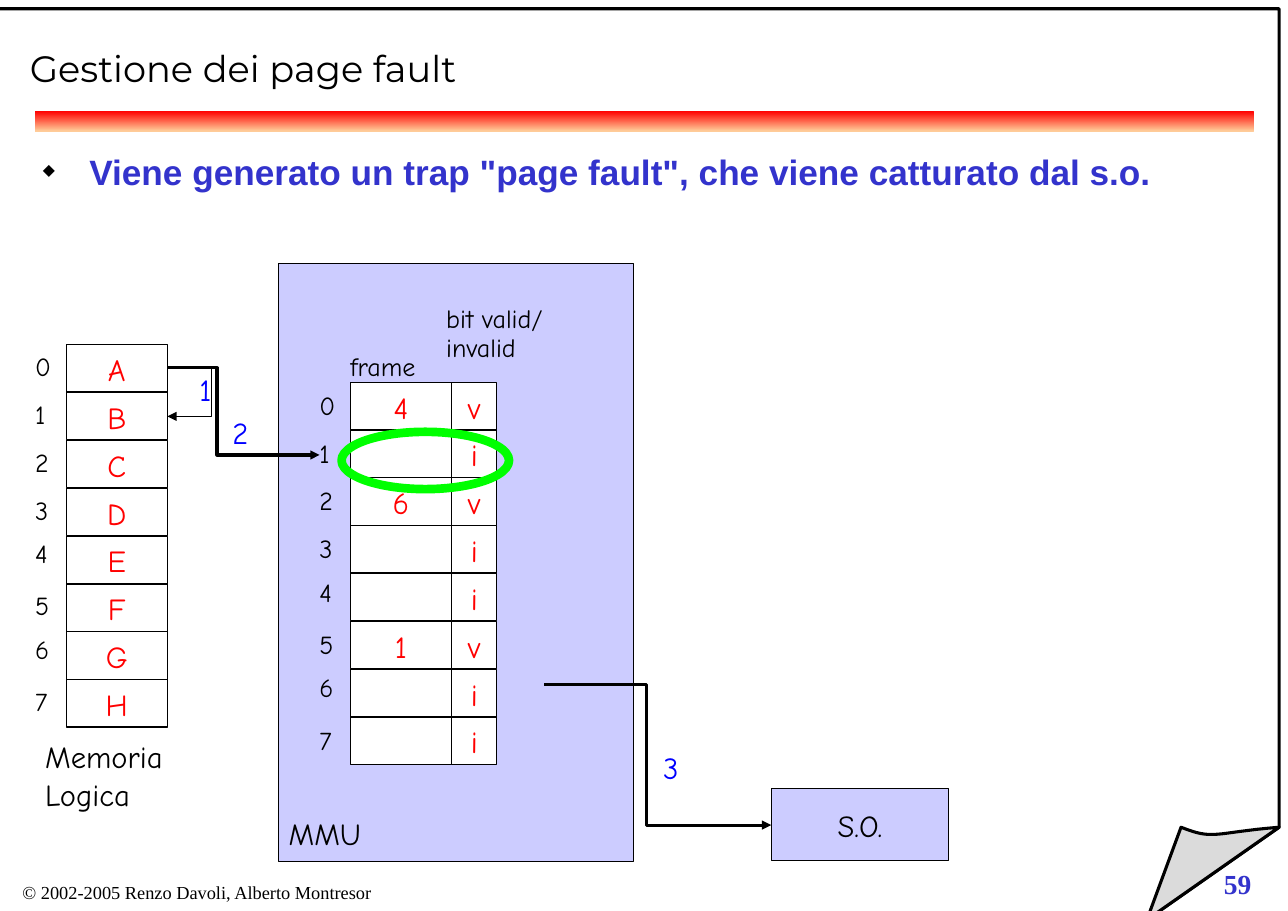
from lxml.etree import SubElement
from pptx import Presentation
from pptx.dml.color import RGBColor
from pptx.enum.shapes import MSO_CONNECTOR as Link, MSO_SHAPE as Preset
from pptx.enum.text import MSO_ANCHOR as Anchor, MSO_AUTO_SIZE as AutoSize, PP_ALIGN as Align
from pptx.oxml.ns import qn
from pptx.util import Inches, Pt

BLACK = RGBColor(0x00, 0x00, 0x00)
WHITE = RGBColor(0xFF, 0xFF, 0xFF)
GREY = RGBColor(0xDB, 0xDB, 0xDB)
RED = RGBColor(0xFF, 0x00, 0x00)
PEACH = RGBColor(0xFF, 0xCC, 0x99)
LILAC = RGBColor(0xCC, 0xCC, 0xFF)
INDIGO = RGBColor(0x33, 0x33, 0xCC)
BLUE = RGBColor(0x00, 0x00, 0xFF)
GREEN = RGBColor(0x00, 0xFF, 0x00)

HAND, SERIF, SANS, TITLE = "Comic Neue", "Times New Roman", "Arial", "Montserrat"
ROW_PITCH = 3.04 / 7
ROW_HEIGHT = 0.43
LIFTED_ROWS = (4, 6)


class SlideBuilder:
    def __init__(self, page):
        self.page = page
        self.shapes = page.shapes

    def set_text(self, frame, text, size, color, font=HAND, bold=False,
                 align=Align.LEFT, spacing=1.05, before=0, inset=(0, 0)):
        frame.margin_left = frame.margin_right = Inches(inset[0])
        frame.margin_top = frame.margin_bottom = Inches(inset[1])
        for number, line in enumerate(text.split("\n")):
            para = frame.add_paragraph() if number else frame.paragraphs[0]
            para.text = line
            para.alignment = align
            para.line_spacing = spacing
            para.space_before = Pt(before)
            para.font.size = Pt(size)
            para.font.name = font
            para.font.bold = bold
            para.font.color.rgb = color

    def label(self, text, left, top, width, height, size=20, color=BLACK,
              wrap=False, anchor=Anchor.TOP, **style):
        box = self.shapes.add_textbox(Inches(left), Inches(top), Inches(width), Inches(height))
        box.text_frame.word_wrap = wrap
        box.text_frame.auto_size = AutoSize.SHAPE_TO_FIT_TEXT
        box.text_frame.vertical_anchor = anchor
        self.set_text(box.text_frame, text, size, color, **style)
        return box.text_frame.paragraphs[0]

    def bullet(self, para, char, percent, indent):
        props = para._p.get_or_add_pPr()
        props.set("marL", str(Inches(indent)))
        props.set("indent", str(-Inches(indent)))
        marks = [SubElement(props, qn(tag)) for tag in ("a:buClr", "a:buSzPct", "a:buChar")]
        SubElement(marks[0], qn("a:srgbClr")).set("val", str(BLACK))
        marks[1].set("val", str(percent * 1000))
        marks[2].set("char", char)
        props.append(props.find(qn("a:defRPr")))

    def paint(self, shape, fill, line, width):
        shape.shadow.inherit = False
        if fill is None:
            shape.fill.background()
        else:
            shape.fill.solid()
            shape.fill.fore_color.rgb = fill
        shape.line.color.rgb = line
        shape.line.width = Pt(width)

    def shape(self, left, top, width, height, fill=None, text="", color=RED,
              preset=Preset.RECTANGLE, line=BLACK, line_width=0):
        box = self.shapes.add_shape(preset, Inches(left), Inches(top), Inches(width), Inches(height))
        self.paint(box, fill, line, line_width)
        if text:
            box.text_frame.vertical_anchor = Anchor.MIDDLE
            self.set_text(box.text_frame, text, 20, color, align=Align.CENTER)
        return box

    def gradient_bar(self, left, top, width, height, colors):
        bar = self.shape(left, top, width, height)
        bar.line.fill.background()
        bar.fill.gradient()
        bar.fill.gradient_angle = 270
        for stop, color in zip(bar.fill.gradient_stops, colors):
            stop.color.rgb = color

    def outline(self, points, fill=None, width=0, close=True):
        start, *rest = [(Inches(x), Inches(y)) for x, y in points]
        builder = self.shapes.build_freeform(*start)
        builder.add_line_segments(rest, close=close)
        form = builder.convert_to_shape()
        self.paint(form, fill, BLACK, width)
        return form

    def arrowhead(self, shape):
        SubElement(shape.line._get_or_add_ln(), qn("a:tailEnd")).set("type", "triangle")

    def elbow_arrow(self, start, end, bend_x):
        link = self.shapes.add_connector(Link.ELBOW, *map(Inches, start + end))
        link.line.color.rgb = BLACK
        link.line.width = Pt(0)
        share = (bend_x - start[0]) / (end[0] - start[0])
        props = link._element.spPr
        guide = SubElement(props.find(qn("a:prstGeom")).get_or_add_avLst(), qn("a:gd"))
        guide.set("name", "adj1")
        guide.set("fmla", f"val {round(share * 100000)}")
        self.arrowhead(link)
        SubElement(props, qn("a:effectLst"))

    def column(self, left, top, width, texts, fill=None):
        for row, text in enumerate(texts):
            self.shape(left, top + row * ROW_PITCH, width, ROW_HEIGHT, fill, text)

    def row_numbers(self, left, top):
        for row in range(8):
            lift = 0.04 if row in LIFTED_ROWS else 0
            self.label(str(row), left, top + row * ROW_PITCH - lift, 0.17, 0.36, 17)


def curve(p0, p1, p2, p3, steps=16):
    for step in range(steps + 1):
        t = step / steps
        u = 1 - t
        yield tuple(u**3 * a + 3 * u * u * t * b + 3 * u * t * t * c + t**3 * d
                    for a, b, c, d in zip(p0, p1, p2, p3))


def main():
    deck = Presentation()
    deck.slide_width, deck.slide_height = Inches(11.69), Inches(8.27)
    slide = SlideBuilder(deck.slides.add_slide(deck.slide_layouts[6]))

    fold_tip, fold_corner = (10.41, 8.35), (11.61, 7.51)
    slide.outline([(-0.08, 0.08), (11.61, 0.08), fold_corner, fold_tip, (-0.08, 8.35)], WHITE, 2)
    slide.outline([fold_tip, *curve((10.72, 7.51), (11.02, 7.63), (11.01, 7.56), fold_corner)],
                  GREY, 2)
    slide.label("59", 11.01, 7.81, 0.68, 0.44, 18, INDIGO, wrap=True, font=SERIF, bold=True,
                before=11.2, inset=(0.1, 0.05))
    slide.gradient_bar(0.32, 1.01, 11.06, 0.18, (RED, PEACH))
    slide.label("© 2002-2005 Renzo Davoli, Alberto Montresor", 0.04, 7.94, 3.5, 0.33, 12,
                font=SERIF, align=Align.CENTER, inset=(0.1, 0.05))
    slide.label("Gestione dei page fault", 0.27, 0.33, 11.15, 0.63, 24, wrap=True,
                anchor=Anchor.MIDDLE, font=TITLE, spacing=0.85)
    statement = slide.label('Viene generato un trap "page fault", che viene catturato dal s.o.',
                            0.39, 1.38, 10.91, 0.81, 23, INDIGO, wrap=True, font=SANS,
                            bold=True, spacing=Pt(26.4), before=21)
    slide.bullet(statement, "◆", 45, 0.42)

    slide.shape(2.53, 2.39, 3.22, 5.43, LILAC)
    slide.column(0.6, 3.13, 0.92, "ABCDEFGH")
    slide.row_numbers(0.32, 3.17)
    slide.column(3.18, 3.47, 0.92, ["4", "", "6", "", "", "1", "", ""], WHITE)
    slide.row_numbers(2.9, 3.52)
    slide.column(4.1, 3.47, 0.41, "viviivii", WHITE)

    slide.label("frame", 3.18, 3.17, 0.78, 0.36, 17)
    slide.label("bit valid/\vinvalid", 4.05, 2.78, 1.19, 0.7, 17, spacing=0.91)
    slide.label("Memoria\nLogica", 0.41, 6.68, 1.3, 0.87)
    slide.label("MMU", 2.62, 7.38, 0.81, 0.43)
    slide.shape(7, 7.16, 1.61, 0.65, LILAC, "S.O.", BLACK)

    slide.elbow_arrow((1.52, 3.34), (2.9, 4.13), 1.97)
    slide.shape(3.1, 3.92, 1.52, 0.52, preset=Preset.OVAL, line=GREEN, line_width=5.67)
    step_one = slide.outline([(1.52, 3.34), (1.92, 3.34), (1.92, 3.78), (1.52, 3.78)], close=False)
    slide.arrowhead(step_one)
    slide.elbow_arrow((4.94, 6.21), (7, 7.49), 5.87)
    for step, left, top in (("2", 2.11, 3.74), ("1", 1.81, 3.35), ("3", 6.02, 6.78)):
        slide.label(step, left, top, 0.2, 0.43, color=BLUE)

    deck.save("out.pptx")


if __name__ == "__main__":
    main()
